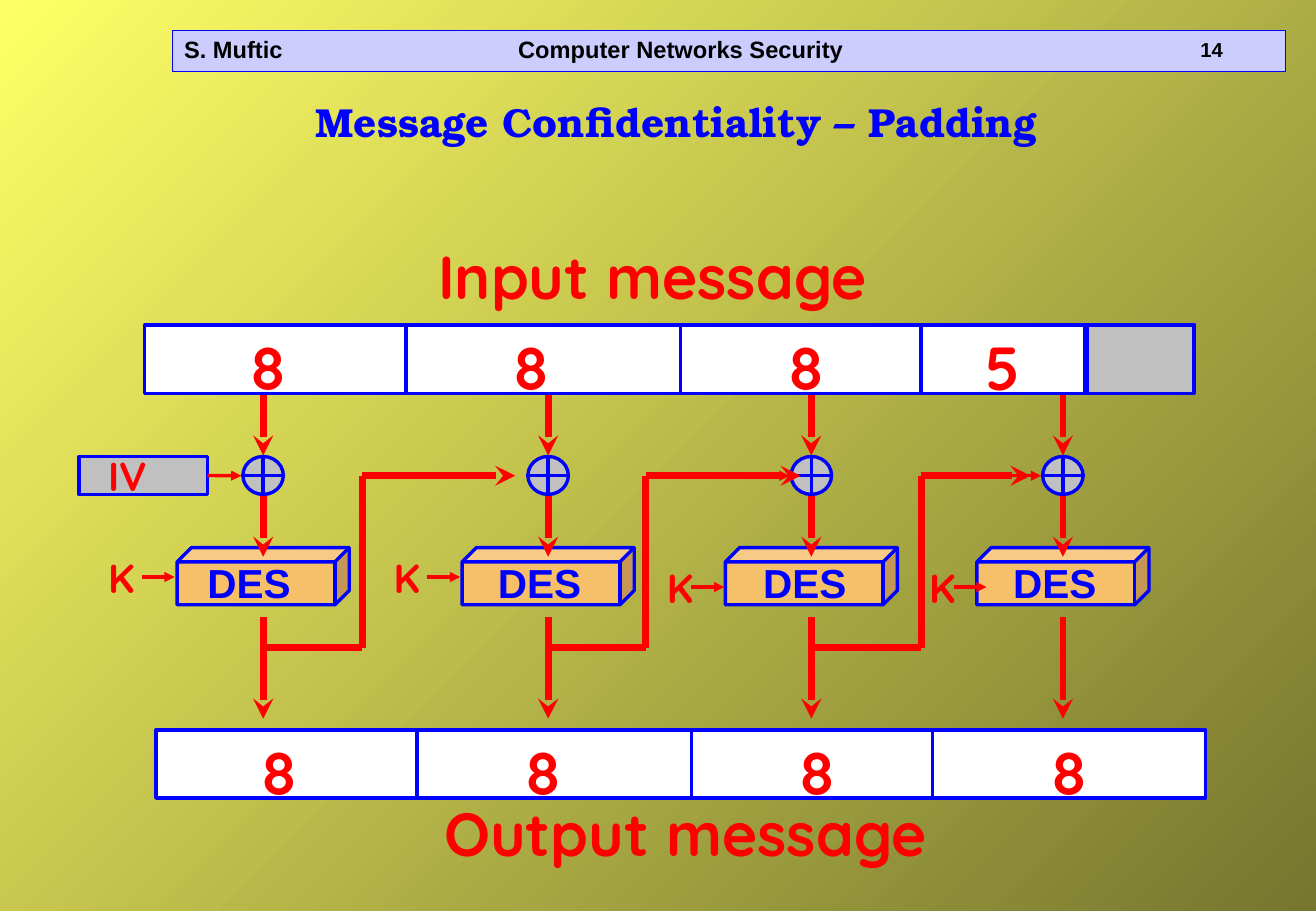
import lxml.etree
import pptx
import pptx.dml.color
import pptx.enum.shapes
import pptx.enum.text
import pptx.oxml.ns
import pptx.util

COLS, ROWS = 130, 90
SIZE = (10.83, 7.5)
RED, BLUE, BLACK, WHITE = "FF0000", "0000FF", "000000", "FFFFFF"
GRAY, TAN, LILAC = "C0C0C0", "F6BF69", "CCCCFF"
FADE = ["76762F", "FFFF66"]

FORMATS = {
    "title": ({"size": 24, "name": "TeX Gyre Bonum"}, BLUE),
    "big": ({"size": 36, "name": "Quicksand"}, RED),
    "key": ({"size": 24, "name": "Quicksand"}, RED),
    "des": ({"size": 24, "name": "Arial"}, BLUE),
    "head": ({"size": 14, "name": "Arial"}, BLACK),
    "page": ({"size": 12, "name": "Arial"}, BLACK),
}

LABELS = [
    ("Message Confidentiality – Padding", "title", (30, 9, 75, 6)),
    ("Input message", "big", (42.1, 23, 47, 8.4)),
    ("Output message", "big", (42.7, 78, 53.7, 8.4)),
    ("14", "page", (117.4, 3.1, 12, 3.6)),
]

CUTS = [25.8, 52.9, 76.7]
BARS = [
    (14.3, 32, [("8", 9.3), ("8", 35.3), ("8", 62.4), ("5", 81.9)]),
    (15.4, 72, [("8", 9.3), ("8", 35.3), ("8", 62.4), ("8", 87.3)]),
]

STAGES = [
    {"mid": 26, "des": 19.3, "key": 9.5, "pin": 14, "row": 57},
    {"mid": 54.15, "des": 48, "key": 37.7, "pin": 42.2, "row": 57},
    {"mid": 80.15, "des": 74.2, "key": 64.7, "pin": 68.3, "row": 58},
    {"mid": 105, "des": 98.9, "key": 90.6, "pin": 94.2, "row": 58},
]
SIDES = [2, 3]
LOOPS = [(26, 35.8, 50.9), (54.15, 63.8, 79.1), (80.15, 91, 101.8)]

deck = pptx.Presentation()
deck.slide_width, deck.slide_height = map(pptx.util.Inches, SIZE)
slide = deck.slides.add_slide(deck.slide_layouts[6])
shapes = slide.shapes
KIND = pptx.enum.shapes.MSO_SHAPE


def paint(text):
    return pptx.dml.color.RGBColor.from_string(text)


def grid(*vals):
    unit = (deck.slide_width / COLS, deck.slide_height / ROWS)
    return [round(val * unit[i % 2]) for i, val in enumerate(vals)]


def block(kind, area, fill, width=2):
    form = shapes.add_shape(kind, *grid(*area))
    form.shadow.inherit = False
    form.fill.solid()
    form.fill.fore_color.rgb = paint(fill)
    form.line.color.rgb = paint(BLUE)
    form.line.width = pptx.util.Pt(width)
    return form


def line(ends, color=RED, width=4, head=None):
    straight = pptx.enum.shapes.MSO_CONNECTOR.STRAIGHT
    con = shapes.add_connector(straight, *grid(*ends))
    con.line.color.rgb = paint(color)
    con.line.width = pptx.util.Pt(width)
    props = con.element.spPr
    if head:
        stroke = props.find(pptx.oxml.ns.qn("a:ln"))
        lxml.etree.SubElement(stroke, pptx.oxml.ns.qn("a:tailEnd"), type=head)
    lxml.etree.SubElement(props, pptx.oxml.ns.qn("a:effectLst"))
    return con


def label(text, style, area, tab=None):
    frame = shapes.add_textbox(*grid(*area)).text_frame
    frame.word_wrap = True
    para = frame.paragraphs[0]
    para.text = text
    if tab:
        props = para._p.get_or_add_pPr()
        tabs = lxml.etree.SubElement(props, pptx.oxml.ns.qn("a:tabLst"))
        place = str(grid(tab)[0])
        lxml.etree.SubElement(tabs, pptx.oxml.ns.qn("a:tab"), pos=place, algn="l")
    values, color = FORMATS[style]
    font = para.runs[0].font
    for name, val in {**values, "bold": True}.items():
        setattr(font, name, pptx.util.Pt(val) if name == "size" else val)
    font.color.rgb = paint(color)
    return frame


def bar(left, top, digits):
    block(KIND.RECTANGLE, (left, top + 0.1, 103.7, 6.75), WHITE)
    for cut in CUTS:
        line((left + cut, top, left + cut, top + 7), BLUE, 2)
    for digit, shift in digits:
        label(digit, "big", (left + shift, top, 7.4, 8.4))


def stage(mid, des, key, pin, row):
    block(KIND.CUBE, (mid - 8.5, 54.1, 17, 5.65), TAN)
    line((mid, 61, mid, 71), head="stealth")
    label("K", "key", (key, row - 3, 6.6, 6))
    line((pin, row, pin + 3.25, row), width=2, head="triangle")
    line((mid, 39, mid, 45), head="stealth")
    block(KIND.OVAL, (mid - 2, 45.1, 4, 3.75), GRAY)
    line((mid, 45, mid, 49), BLUE, 2)
    line((mid - 2.15, 47, mid + 2.15, 47), BLUE, 2)
    line((mid, 49, mid, 55), head="stealth")
    label("DES", "des", (des, 54.5, 10.7, 6))


def loop(start, turn, tip):
    line((start, 64, turn, 64))
    line((turn, 64, turn, 47))
    line((turn, 47, tip, 47), head="stealth")


def main():
    back = slide.background.fill
    back.gradient()
    back.gradient_angle = 135
    for stop, color in zip(back.gradient_stops, FADE):
        stop.color.rgb = paint(color)

    block(KIND.RECTANGLE, (17, 3, 110, 4), LILAC, 0.25)
    head = label("S. Muftic\tComputer Networks Security", "head", (17, 3, 108, 4), 33)
    head.vertical_anchor = pptx.enum.text.MSO_ANCHOR.MIDDLE
    head.paragraphs[0].line_spacing = 0.9
    for item in LABELS:
        label(*item)

    for item in BARS:
        bar(*item)
    line((107.2, 32, 107.2, 39), BLUE, 2)
    block(KIND.RECTANGLE, (107.4, 32.1, 10.5, 6.75), GRAY)

    for item in STAGES:
        stage(**item)
    seed = block(KIND.RECTANGLE, (7.8, 45.1, 12.7, 3.75), GRAY)
    line((20.5, 47, 23.85, 47), width=2, head="triangle").begin_connect(seed, 3)
    label("IV", "key", (9.5, 44, 8.2, 6))
    for i in SIDES:
        mid = STAGES[i]["mid"]
        line((mid - 5.4, 47, mid - 2.15, 47), width=2, head="triangle")
    for item in LOOPS:
        loop(*item)

    deck.save("out.pptx")


if __name__ == "__main__":
    main()
